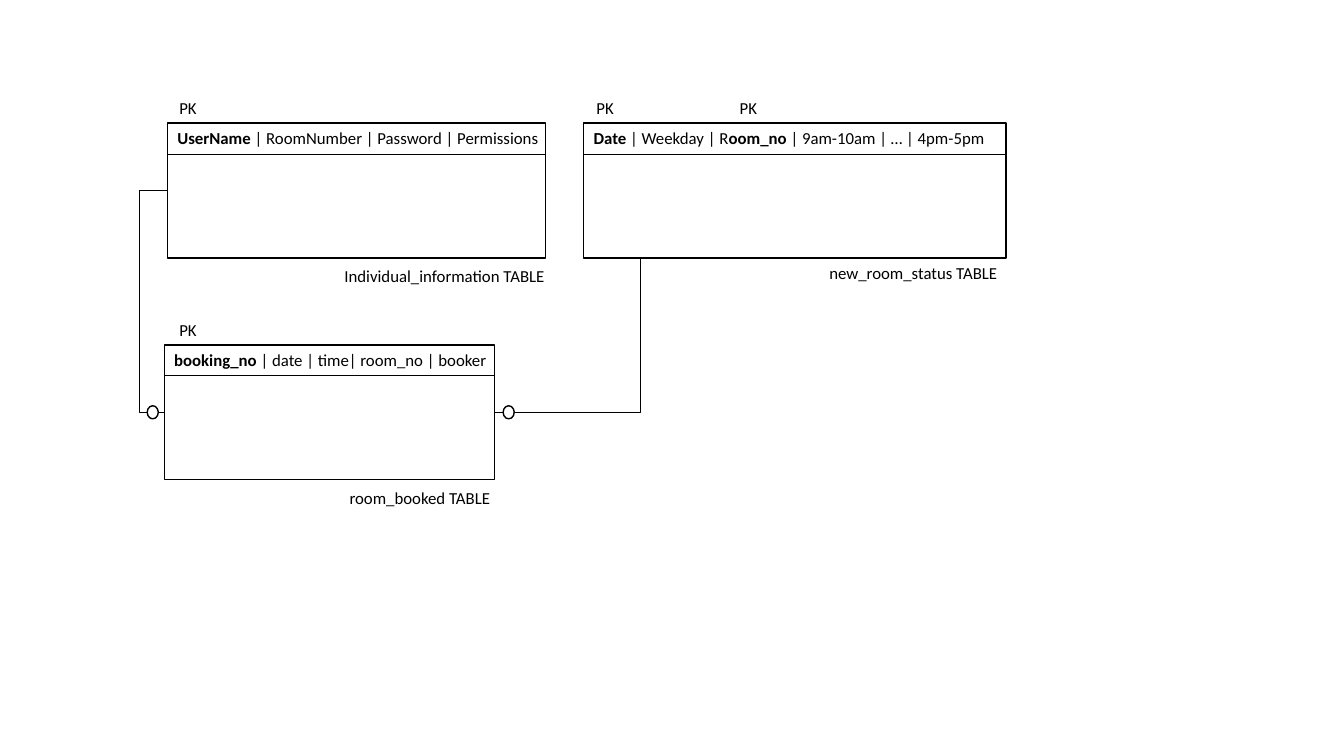
from dataclasses import dataclass

from lxml import etree
from pptx import Presentation
from pptx.dml.color import RGBColor
from pptx.enum.shapes import MSO_CONNECTOR, MSO_SHAPE
from pptx.enum.text import MSO_AUTO_SIZE
from pptx.oxml.ns import qn
from pptx.util import Cm, Pt

RECTANGLE, OVAL = MSO_SHAPE.RECTANGLE, MSO_SHAPE.OVAL
STRAIGHT, ELBOW = MSO_CONNECTOR.STRAIGHT, MSO_CONNECTOR.ELBOW
FIT_SHAPE = MSO_AUTO_SIZE.SHAPE_TO_FIT_TEXT
LEFT_SIDE, RIGHT_SIDE = 1, 3

COLORS = {"ink": "000000", "paper": "FFFFFF"}
FONT = "Calibri"
TABLE_HEIGHT = 3.4
HEADER_HEIGHT = 0.78
KEY_WIDTH = 0.97
RING_WIDTH, RING_HEIGHT = 0.28, 0.33


@dataclass(frozen=True)
class Caption:
    text: str
    left: float
    top: float
    width: float


@dataclass(frozen=True)
class EntityTable:
    left: float
    top: float
    width: float
    columns: list[tuple[str, bool]]  # text, bold
    columns_width: float
    key_lefts: list[float]
    caption: Caption


# All lengths in centimetres
INDIVIDUAL = EntityTable(
    4.22, 3.1, 9.53,
    [("UserName", True), (" | RoomNumber | Password | Permissions", False)],
    9.7, [4.27], Caption("Individual_information TABLE", 8.43, 6.58, 5.61))
BOOKED = EntityTable(
    4.14, 8.69, 8.33,
    [("booking_no", True), (" | date | time| room_no | booker", False)],
    8.69, [4.27], Caption("room_booked TABLE", 8.56, 12.17, 4.09))
STATUS = EntityTable(
    14.71, 3.1, 10.64,
    [("Date", True), (" | Weekday | R", False), ("oom_no ", True),
     ("| 9am-10am | … | 4pm-5pm", False)],
    10.46, [14.78, 18.39], Caption("new_room_status TABLE", 20.65, 6.5, 4.8))


def color(key: str) -> RGBColor:
    return RGBColor.from_string(COLORS[key])


def add_outlined(slide, kind, left: float, top: float, width: float, height: float):
    shape = slide.shapes.add_shape(kind, Cm(left), Cm(top), Cm(width), Cm(height))
    shape.shadow.inherit = False
    shape.fill.solid()
    shape.fill.fore_color.rgb = color("paper")
    shape.line.color.rgb = color("ink")
    shape.line.width = Pt(1)
    return shape


def add_label(slide, left: float, top: float, width: float,
              parts: list[tuple[str, bool]]) -> None:
    label = slide.shapes.add_textbox(Cm(left), Cm(top), Cm(width), Cm(HEADER_HEIGHT))
    frame = label.text_frame
    frame.word_wrap = False
    frame.auto_size = FIT_SHAPE
    paragraph = frame.paragraphs[0]
    paragraph.font.name = FONT
    paragraph.font.size = Pt(12)
    paragraph.font.color.rgb = color("ink")
    for text, bold in parts:
        run = paragraph.add_run()
        run.text = text
        run.font.bold = bold


def add_rule(slide, kind, x1: float, y1: float, x2: float, y2: float):
    rule = slide.shapes.add_connector(kind, Cm(x1), Cm(y1), Cm(x2), Cm(y2))
    rule.line.color.rgb = color("ink")
    rule.line.width = Pt(0.5)
    etree.SubElement(rule._element.spPr, qn("a:effectLst"))
    return rule


def add_entity(slide, entity: EntityTable):
    box = add_outlined(slide, RECTANGLE, entity.left, entity.top, entity.width, TABLE_HEIGHT)
    add_label(slide, entity.left, entity.top, entity.columns_width, entity.columns)
    header_bottom = entity.top + HEADER_HEIGHT
    add_rule(slide, STRAIGHT, entity.left, header_bottom,
             entity.left + entity.width, header_bottom)
    for key_left in entity.key_lefts:
        add_label(slide, key_left, entity.top - 0.77, KEY_WIDTH, [("PK", False)])
    caption = entity.caption
    add_label(slide, caption.left, caption.top, caption.width, [(caption.text, False)])
    return box


def main() -> None:
    presentation = Presentation()
    presentation.slide_width, presentation.slide_height = Cm(33.87), Cm(19.05)
    slide = presentation.slides.add_slide(presentation.slide_layouts[6])

    # Entity tables
    individual_box, booked_box, _ = [
        add_entity(slide, entity) for entity in (INDIVIDUAL, BOOKED, STATUS)]

    # Link from individual information, bending out to the left
    individual_middle = INDIVIDUAL.top + TABLE_HEIGHT / 2
    booked_middle = BOOKED.top + TABLE_HEIGHT / 2
    user_link = add_rule(slide, ELBOW, INDIVIDUAL.left, individual_middle,
                         BOOKED.left, booked_middle)
    user_link.begin_connect(individual_box, LEFT_SIDE)
    user_link.end_connect(booked_box, LEFT_SIDE)
    bend = 0.71 / (INDIVIDUAL.left - BOOKED.left)
    guide = etree.SubElement(user_link._element.spPr.prstGeom.get_or_add_avLst(), qn("a:gd"))
    guide.set("name", "adj1")
    guide.set("fmla", f"val {round(bend * 100000)}")

    # Link from room status, with a single corner
    status_link = add_rule(slide, ELBOW, BOOKED.left + BOOKED.width, booked_middle,
                           16.13, STATUS.top + TABLE_HEIGHT)
    status_link.begin_connect(booked_box, RIGHT_SIDE)
    status_link._element.spPr.prstGeom.set("prst", "bentConnector2")

    # Optional-relationship rings
    for ring_left in (3.71, 12.68):
        add_outlined(slide, OVAL, ring_left, booked_middle - RING_HEIGHT / 2,
                     RING_WIDTH, RING_HEIGHT)

    presentation.save("out.pptx")


if __name__ == "__main__":
    main()
